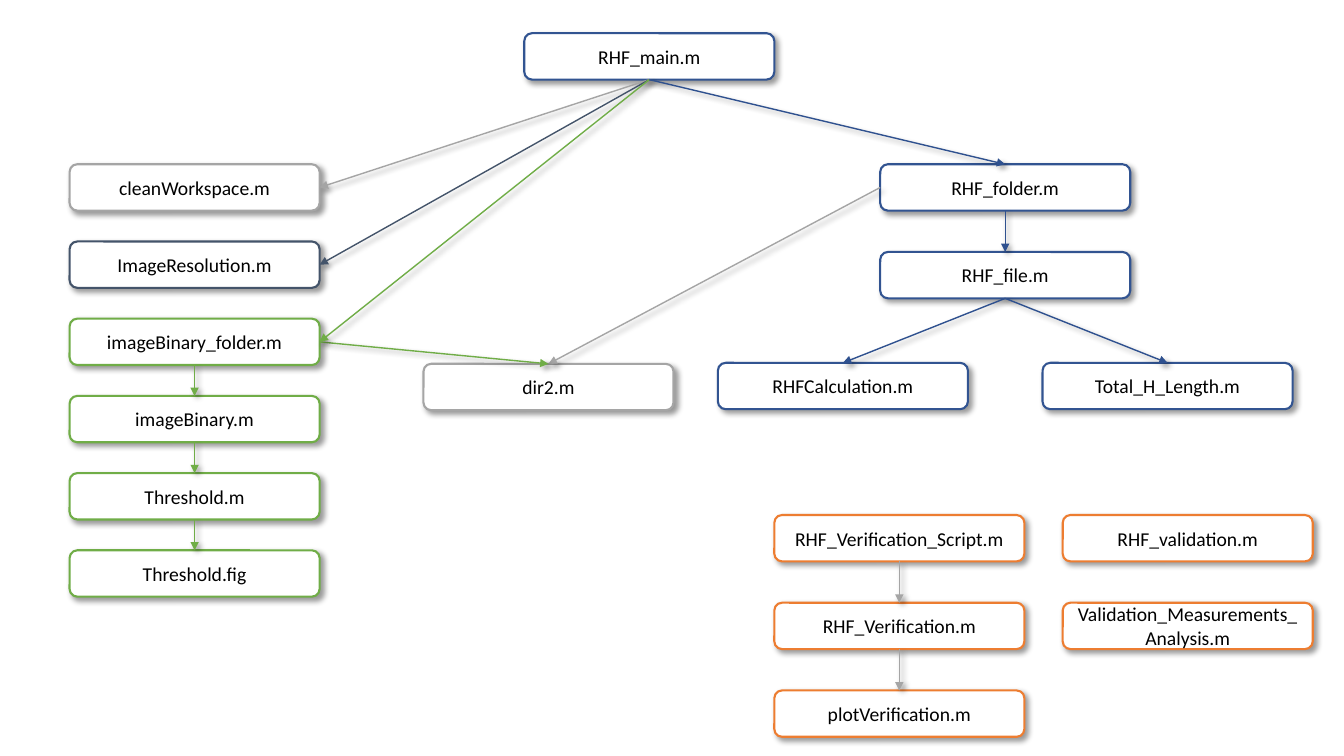
from lxml.etree import SubElement
from pptx import Presentation
from pptx.dml.color import RGBColor
from pptx.enum.shapes import MSO_CONNECTOR, MSO_SHAPE
from pptx.enum.text import MSO_ANCHOR, PP_ALIGN
from pptx.oxml.ns import qn
from pptx.util import Inches, Pt

WHITE = RGBColor(0xFF, 0xFF, 0xFF)
BLACK = RGBColor(0x00, 0x00, 0x00)
BLUE = RGBColor(0x32, 0x54, 0x91)
ARROW_BLUE = RGBColor(0x2F, 0x51, 0x8F)
SLATE = RGBColor(0x44, 0x54, 0x6A)
GRAY = RGBColor(0xA5, 0xA5, 0xA5)
GREEN = RGBColor(0x70, 0xAD, 0x47)
ORANGE = RGBColor(0xED, 0x7D, 0x31)

# Connection sites of a rounded rectangle
TOP, LEFT, BOTTOM, RIGHT = range(4)


def write_text(shape, text, font="Calibri", size=14, color=BLACK,
               align=PP_ALIGN.CENTER, anchor=MSO_ANCHOR.MIDDLE):
    frame = shape.text_frame
    frame.word_wrap = True
    frame.vertical_anchor = anchor
    paragraph = frame.paragraphs[0]
    paragraph.alignment = align
    run = paragraph.add_run()
    run.text = text
    run.font.name = font
    run.font.size = Pt(size)
    run.font.color.rgb = color


def add_shadow(effects):
    shadow = SubElement(effects, qn("a:outerShdw"), blurRad=str(Pt(4)),
                        dist=str(Pt(3)), dir=str(45 * 60000),
                        algn="tl", rotWithShape="0")
    color = SubElement(shadow, qn("a:srgbClr"), val="000000")
    SubElement(color, qn("a:alpha"), val="40000")


class Diagram:
    box_width, box_height = 2.48, 0.46
    box_line, arrow_line = 1.5, 1

    def __init__(self, slide):
        self.slide = slide
        self.boxes = {}

    def box(self, name, left, top, color):
        shape = self.slide.shapes.add_shape(
            MSO_SHAPE.ROUNDED_RECTANGLE, Inches(left), Inches(top),
            Inches(self.box_width), Inches(self.box_height))
        shape.fill.solid()
        shape.fill.fore_color.rgb = WHITE
        shape.line.color.rgb = color
        shape.line.width = Pt(self.box_line)
        shape.shadow.inherit = False
        add_shadow(shape._element.spPr.find(qn("a:effectLst")))
        write_text(shape, name)
        self.boxes[name] = shape

    def arrow(self, source, target, color, start=BOTTOM, end=TOP):
        connector = self.slide.shapes.add_connector(
            MSO_CONNECTOR.STRAIGHT, 0, 0, 0, 0)
        connector.begin_connect(self.boxes[source], start)
        connector.end_connect(self.boxes[target], end)
        connector.line.color.rgb = color
        connector.line.width = Pt(self.arrow_line)
        SubElement(connector.line._get_or_add_ln(), qn("a:tailEnd"), type="triangle")
        add_shadow(SubElement(connector._element.spPr, qn("a:effectLst")))

    def column(self, names, left, top, step, color):
        for row, name in enumerate(names):
            self.box(name, left, top + row * step, color)

    def chain(self, names, color):
        for source, target in zip(names, names[1:]):
            self.arrow(source, target, color)


presentation = Presentation()
presentation.slide_width = Inches(13.33)
presentation.slide_height = Inches(7.5)
diagram = Diagram(presentation.slides.add_slide(presentation.slide_layouts[6]))

LEFT_COLUMN, LEFT_STEP = 0.69, 0.766
RIGHT_STEP = 0.87
binary_files = ["imageBinary_folder.m", "imageBinary.m", "Threshold.m", "Threshold.fig"]
folder_files = ["RHF_folder.m", "RHF_file.m"]
calculations = ["RHFCalculation.m", "Total_H_Length.m"]
verification_files = ["RHF_Verification_Script.m", "RHF_Verification.m",
                      "plotVerification.m"]
validation_files = ["RHF_validation.m", "Validation_Measurements_Analysis.m"]

# Main script and left column
diagram.box("RHF_main.m", 5.2, 0.33, BLUE)
diagram.box("cleanWorkspace.m", LEFT_COLUMN, 1.63, GRAY)
diagram.box("ImageResolution.m", LEFT_COLUMN, 1.63 + LEFT_STEP, SLATE)
diagram.column(binary_files, LEFT_COLUMN, 1.63 + 2 * LEFT_STEP, LEFT_STEP, GREEN)

# Folder processing
diagram.column(folder_files, 8.73, 1.63, RIGHT_STEP, BLUE)
for name, left in zip(calculations, (7.12, 10.34)):
    diagram.box(name, left, 3.6, BLUE)
diagram.box("dir2.m", 4.2, 3.61, GRAY)

# Verification and validation
diagram.column(verification_files, 7.68, 5.11, RIGHT_STEP, ORANGE)
diagram.column(validation_files, 10.54, 5.11, RIGHT_STEP, ORANGE)

# Arrows down the columns
diagram.chain(verification_files, GRAY)
diagram.chain(binary_files, GREEN)
diagram.chain(folder_files, ARROW_BLUE)

# Arrows between the groups
diagram.arrow("RHF_folder.m", "dir2.m", GRAY, start=LEFT)
diagram.arrow("imageBinary_folder.m", "dir2.m", GREEN, start=RIGHT)
for name, color in (("cleanWorkspace.m", GRAY), ("ImageResolution.m", SLATE),
                    ("imageBinary_folder.m", GREEN)):
    diagram.arrow("RHF_main.m", name, color, end=RIGHT)
diagram.arrow("RHF_main.m", "RHF_folder.m", ARROW_BLUE)
for name in calculations:
    diagram.arrow("RHF_file.m", name, ARROW_BLUE)

presentation.save("out.pptx")
